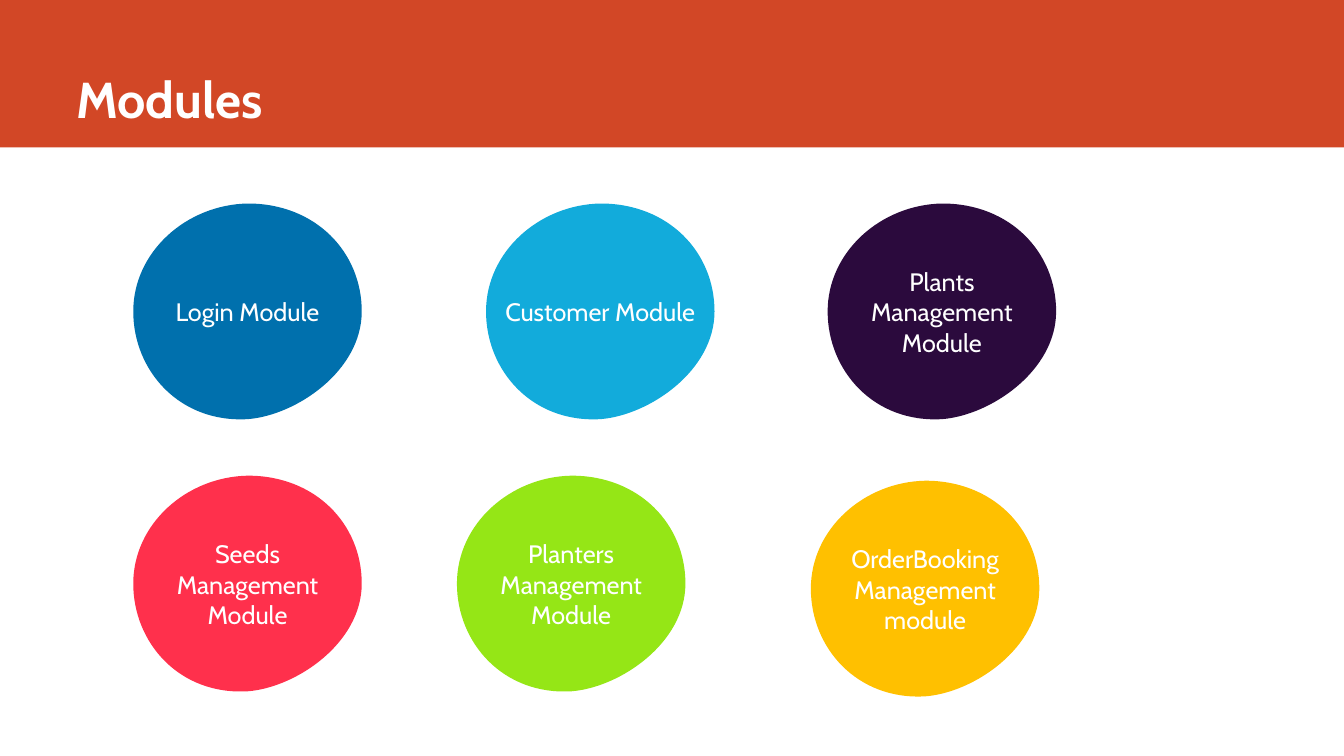
from dataclasses import dataclass
from typing import Any, NamedTuple

from pptx import Presentation, util as u
from pptx.dml import color
from pptx.enum import shapes, text
from pptx.oxml import ns, xmlchemy


@dataclass(frozen=True)
class Theme:
    font: str = "Cabin"
    title_size: int = 36
    body_size: int = 18
    light: str = "FFFFFF"
    band: str = "D24726"
    login: str = "0070AD"
    customer: str = "12ABDB"
    plants: str = "2B0A3D"
    seeds: str = "FF304C"
    planters: str = "95E616"
    orders: str = "FFC000"


class Box(NamedTuple):
    col: float
    row: float
    cols: float
    rows: float


@dataclass(frozen=True)
class Module:
    label: str
    col: float
    row: float
    fill: str


THEME = Theme()
WIDTH, HEIGHT = u.Inches(13.33), u.Inches(7.5)
COL, ROW = WIDTH / 12, HEIGHT / 12
BAND = Box(0, 0, 12, 2.34)
TITLE = Box(0.59, 0, 10.58, 2.12)
BLOB_COLS, BLOB_ROWS = 2.04, 3.44
BLOB_PERCENTS = [
    (0, 49.8),
    (0, 22.3), (23.3, 0.5), (50.2, 0),
    (79.7, 0), (100, 22.3), (100, 49.8),
    (100, 77.2), (71.4, 97.7), (50.2, 99.5),
    (20.3, 101.4), (0, 77.2), (0, 49.8),
]
MODULES = [
    Module("Login Module", 1.19, 3.23, THEME.login),
    Module("Customer Module", 4.34, 3.23, THEME.customer),
    Module("Plants Management Module", 7.39, 3.23, THEME.plants),
    Module("Seeds Management Module", 1.19, 7.55, THEME.seeds),
    Module("Planters\nManagement Module", 4.08, 7.55, THEME.planters),
    Module("OrderBooking Management module", 7.24, 7.63, THEME.orders),
]


def apply(target: Any, formats: dict[str, Any]) -> None:
    for name, value in formats.items():
        setattr(target, name, value)


def place(box: Box) -> dict[str, int]:
    return {
        "left": round(box.col * COL),
        "top": round(box.row * ROW),
        "width": round(box.cols * COL),
        "height": round(box.rows * ROW),
    }


def paint(sp: Any, fill: str) -> None:
    sp.shadow.inherit = False
    sp.fill.solid()
    sp.fill.fore_color.rgb = color.RGBColor.from_string(fill)
    sp.line.fill.background()


def write(sp: Any, label: str, frame: dict, align: Any, font: dict) -> None:
    tf = sp.text_frame
    tf.text = label
    apply(tf, {"word_wrap": True, "auto_size": text.MSO_AUTO_SIZE.NONE, **frame})
    for p in tf.paragraphs:
        p.alignment = align
        for r in p.runs:
            apply(r.font, {"name": THEME.font, **font})
            r.font.color.rgb = color.RGBColor.from_string(THEME.light)


def curve_outline(sp: Any, width: int, height: int) -> None:
    outline = next(sp.element.iter(ns.qn("a:path")))
    outline.set("w", str(width))
    outline.set("h", str(height))
    apply(sp, {"width": width, "height": height})
    lines = outline.findall(ns.qn("a:lnTo"))
    for i in range(0, len(lines), 3):
        curve = xmlchemy.OxmlElement("a:cubicBezTo")
        lines[i].addprevious(curve)
        for line in lines[i:i + 3]:
            curve.append(line[0])
            outline.remove(line)


def draw_header(slide: Any) -> None:
    band = slide.shapes.add_shape(
        shapes.MSO_SHAPE.RECTANGLE, **place(BAND)
    )
    paint(band, THEME.band)
    title = slide.shapes.title
    band.element.addnext(title.element)
    apply(title, place(TITLE))
    write(
        title, "Modules",
        {"vertical_anchor": text.MSO_ANCHOR.BOTTOM},
        text.PP_ALIGN.LEFT,
        {"size": u.Pt(THEME.title_size), "bold": True},
    )


def draw_module(slide: Any, module: Module) -> None:
    box = place(Box(module.col, module.row, BLOB_COLS, BLOB_ROWS))
    width, height = box["width"], box["height"]
    points = [
        (box["left"] + x * width / 100, box["top"] + y * height / 100)
        for x, y in BLOB_PERCENTS
    ]
    builder = slide.shapes.build_freeform(*points[0])
    builder.add_line_segments(points[1:], close=True)
    sp = builder.convert_to_shape()
    curve_outline(sp, width, height)
    paint(sp, module.fill)
    write(
        sp, module.label,
        {"vertical_anchor": text.MSO_ANCHOR.MIDDLE},
        text.PP_ALIGN.CENTER,
        {"size": u.Pt(THEME.body_size)},
    )


def main() -> None:
    prs = Presentation()
    apply(prs, {"slide_width": WIDTH, "slide_height": HEIGHT})
    slide = prs.slides.add_slide(prs.slide_layouts.get_by_name("Title Only"))
    draw_header(slide)
    for module in MODULES:
        draw_module(slide, module)
    prs.save("out.pptx")


if __name__ == "__main__":
    main()
